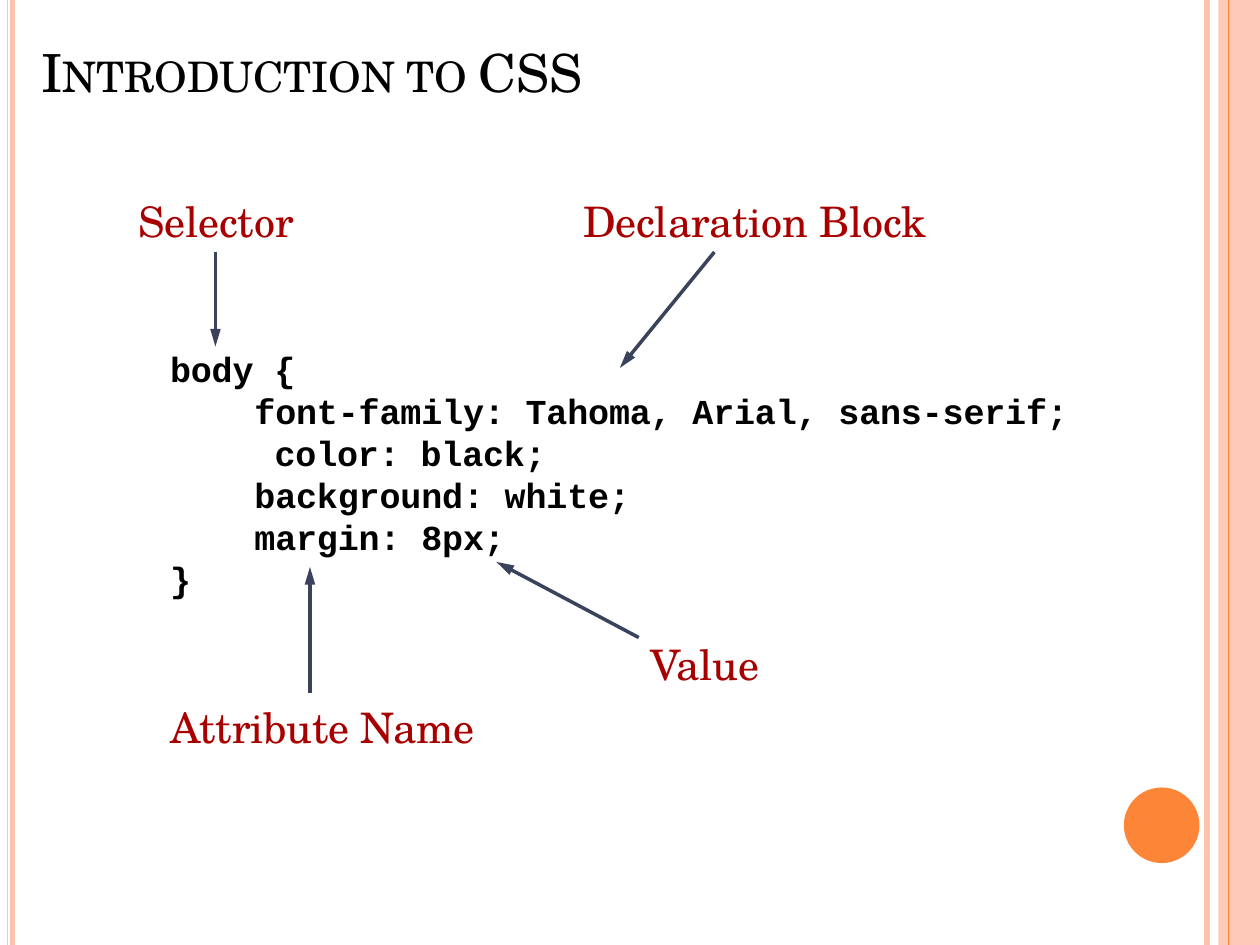
from dataclasses import dataclass

from lxml.etree import SubElement
from pptx import Presentation
from pptx.dml.color import RGBColor
from pptx.enum.shapes import MSO_CONNECTOR, MSO_SHAPE
from pptx.oxml.ns import qn
from pptx.util import Inches, Pt


@dataclass(frozen=True)
class Theme:
    serif: str = "TeX Gyre Schola"
    mono: str = "Courier New"
    ink: str = "000000"
    label: str = "A80000"
    arrow: str = "3A435B"
    peach: str = "FDC3AD"
    orange: str = "FD8537"
    title_size: int = 30
    label_size: int = 24
    code_size: int = 20
    arrow_width: int = 2


THEME = Theme()


def apply_format(target, values):
    for name, value in values.items():
        setattr(target, name, value)


def add_text_frame(slide, left, top, width, height):
    textbox = slide.shapes.add_textbox(
        Inches(left), Inches(top), Inches(width), Inches(height))
    frame = textbox.text_frame
    apply_format(frame, {
        "word_wrap": True, "margin_left": 0, "margin_right": 0,
        "margin_top": Inches(0.02), "margin_bottom": 0})
    return frame


def add_run(paragraph, text, font, size, color, bold=False):
    run = paragraph.add_run()
    run.text = text
    apply_format(run.font, {"name": font, "size": Pt(size), "bold": bold})
    run.font.color.rgb = RGBColor.from_string(color)
    run.font._element.set("spc", "-10")


def add_title(slide):
    paragraph = add_text_frame(slide, 0.33, 0.3, 4.6, 0.53).paragraphs[0]
    for text, size in (("I", THEME.title_size),
                       ("NTRODUCTION TO ", THEME.label_size),
                       ("CSS", THEME.title_size)):
        add_run(paragraph, text, THEME.serif, size, THEME.ink)


def add_label(slide, text, left, top, width):
    frame = add_text_frame(slide, left, top, width, 0.43)
    add_run(frame.paragraphs[0], text, THEME.serif, THEME.label_size, THEME.label)


def add_code(slide, lines):
    frame = add_text_frame(slide, 1.35, 2.74, 7.3, 2.05)
    for index, (text, indent) in enumerate(lines):
        paragraph = frame.add_paragraph() if index else frame.paragraphs[0]
        paragraph._p.get_or_add_pPr().set("marL", str(Inches(indent)))
        add_run(paragraph, text, THEME.mono, THEME.code_size, THEME.ink, True)


def add_line(slide, start, end, color, width):
    connector = slide.shapes.add_connector(
        MSO_CONNECTOR.STRAIGHT, *map(Inches, (*start, *end)))
    connector.line.color.rgb = RGBColor.from_string(color)
    connector.line.width = Pt(width)
    SubElement(connector._element.spPr, qn("a:effectLst"))
    return connector


def add_arrow(slide, start, end):
    arrow = add_line(slide, start, end, THEME.arrow, THEME.arrow_width)
    SubElement(arrow.line._get_or_add_ln(), qn("a:tailEnd"),
               type="triangle", w="med", len="lg")


def add_solid(slide, preset, left, top, width, height, color):
    solid = slide.shapes.add_shape(
        preset, *map(Inches, (left, top, width, height)))
    solid.shadow.inherit = False
    solid.fill.solid()
    solid.fill.fore_color.rgb = RGBColor.from_string(color)
    solid.line.fill.background()
    return solid


def add_decoration(slide):
    for x, width in ((9.58, 3), (0.1, 2.74), (0.06, 0.91)):
        add_line(slide, (x, 0), (x, 7.5), THEME.peach, width)
    band = add_solid(slide, MSO_SHAPE.RECTANGLE, 9.67, 0, 0.33, 7.5, THEME.peach)
    band_color = band._element.spPr.find(qn("a:solidFill")).find(qn("a:srgbClr"))
    SubElement(band_color, qn("a:alpha"), val="87000")
    add_line(slide, (9.75, 0), (9.75, 7.5), THEME.orange, 0.72)
    add_solid(slide, MSO_SHAPE.OVAL, 8.92, 6.25, 0.6, 0.6, THEME.orange)


def main():
    presentation = Presentation()
    apply_format(presentation, {
        "slide_width": Inches(10), "slide_height": Inches(7.5)})
    slide = presentation.slides.add_slide(presentation.slide_layouts[6])

    add_decoration(slide)
    add_title(slide)
    for text, left, top, width in (("Selector", 1.1, 1.53, 1.4),
                                   ("Declaration Block", 4.63, 1.53, 2.9),
                                   ("Value", 5.16, 5.05, 1.1),
                                   ("Attribute Name", 1.35, 5.55, 2.7)):
        add_label(slide, text, left, top, width)
    add_code(slide, (("body {", 0),
                     ("font-family: Tahoma, Arial, sans-serif;", 0.67),
                     ("color: black;", 0.83),
                     ("background: white;", 0.67),
                     ("margin: 8px;", 0.67),
                     ("}", 0)))
    for start, end in (((1.71, 2), (1.71, 2.75)),
                       ((5.67, 2), (4.92, 2.92)),
                       ((2.46, 5.5), (2.46, 4.5)),
                       ((5.07, 5.06), (3.94, 4.46))):
        add_arrow(slide, start, end)

    presentation.save("out.pptx")


main()
